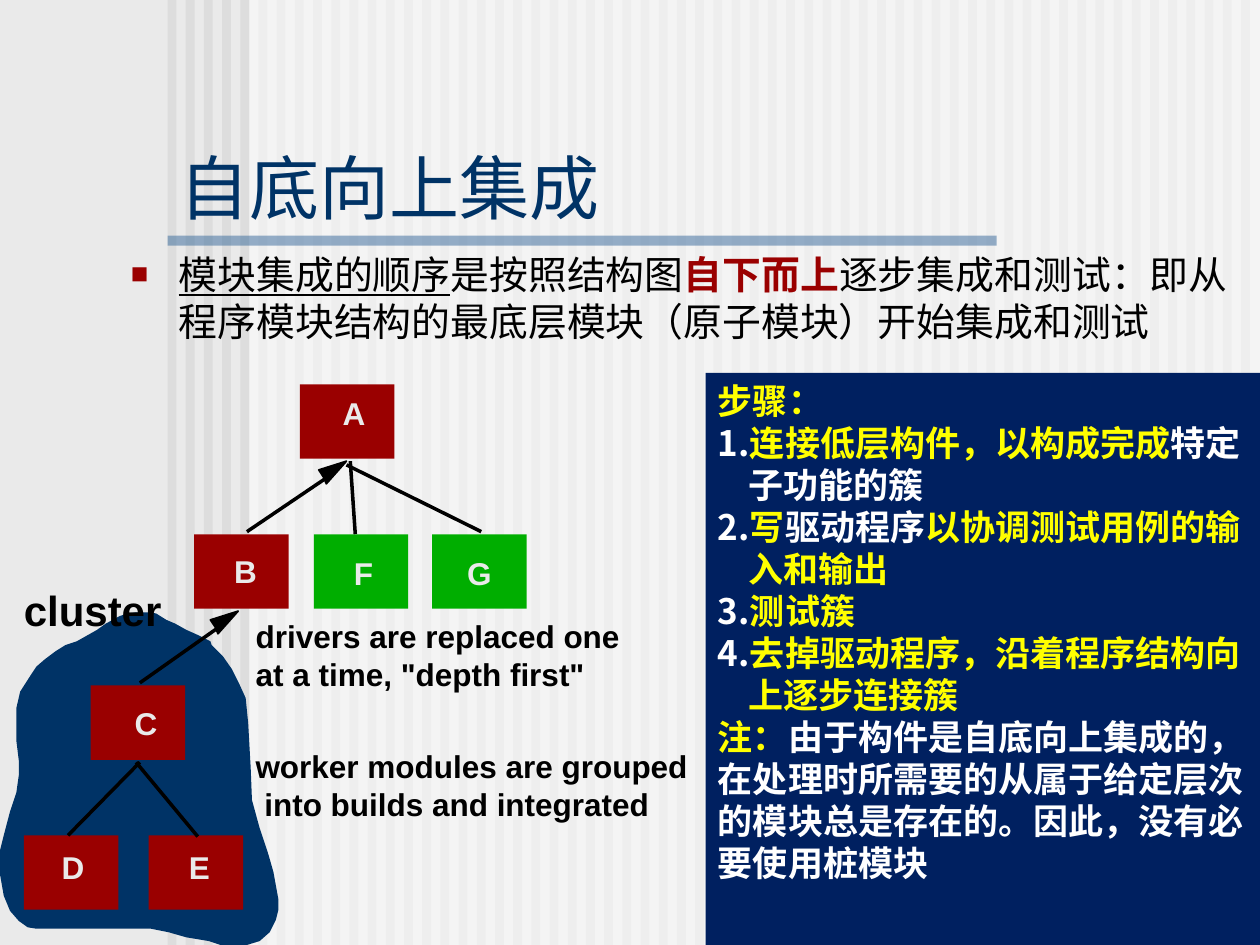
import pptx
import pptx.dml.color
import pptx.enum.shapes
import pptx.enum.text
import pptx.oxml
import pptx.oxml.ns
import pptx.util
from lxml import etree
from pptx.util import Inches

COLORS = {
    "background": "EAEAEA", "stripe": "DDDDDD", "white": "FFFFFF",
    "rule": "336699", "navy": "003366", "panel": "002060",
    "red": "9A0000", "green": "00AE00", "black": "000000", "yellow": "FFFF00",
}
FONT = "Arial"
MODULE_SIZE = (0.75, 0.59)
# name: (module left, module top, fill, label left, label top)
MODULES = {
    "A": (2.38, 3.05, "red", 2.62, 3.08),
    "B": (1.54, 4.24, "red", 1.76, 4.33),
    "C": (0.72, 5.44, "red", 0.97, 5.54),
    "D": (0.19, 6.63, "red", 0.39, 6.68),
    "E": (1.18, 6.63, "red", 1.4, 6.68),
    "F": (2.49, 4.24, "green", 2.71, 4.35),
    "G": (3.43, 4.24, "green", 3.61, 4.35),
}
LINKS = [
    ((2.58, 3.8), (1.96, 4.22)), ((1.72, 4.99), (1.11, 5.42)),
    ((1.11, 6.05), (0.54, 6.63)), ((1.08, 6.05), (1.57, 6.64)),
    ((2.78, 3.66), (2.82, 4.24)), ((2.75, 3.69), (3.82, 4.22)),
]
ARROW_TIPS = [(2.75, 3.66), (1.89, 4.85)]
ARROWHEAD = [(0, 0), (-0.16, 0.18), (-0.18, 0.13), (-0.22, 0.07)]
CLUSTER = [
    (1.67, 5.09), (1.57, 5.04), (1.48, 5), (1.39, 4.95), (1.32, 4.92),
    (1.24, 4.87), (1.19, 4.86), (1.08, 4.86), (1.01, 4.87), (0.95, 4.89),
    (0.84, 4.95), (0.77, 5), (0.61, 5.09), (0.52, 5.12), (0.44, 5.17),
    (0.36, 5.23), (0.29, 5.29), (0.25, 5.35), (0.16, 5.49), (0.13, 5.62),
    (0.13, 5.88), (0.15, 6.04), (0.15, 6.15), (0.13, 6.29), (0.08, 6.44),
    (0.03, 6.63), (0, 6.75), (0, 6.94), (0.03, 7.11), (0.08, 7.23),
    (0.15, 7.31), (0.22, 7.36), (0.28, 7.37), (1.19, 7.37), (1.34, 7.4),
    (1.48, 7.44), (1.66, 7.47), (1.75, 7.5), (1.96, 7.5), (2.06, 7.47),
    (2.14, 7.4), (2.19, 7.3), (2.21, 7.22), (2.21, 7.14), (2.17, 6.92),
    (2.13, 6.78), (2.06, 6.57), (2, 6.35), (1.99, 6.1), (1.97, 5.74),
    (1.95, 5.54), (1.9, 5.43), (1.84, 5.31), (1.77, 5.21), (1.68, 5.12),
]
STEPS = [
    [("连接低层构件，以构成完成", "yellow"), ("特定子功能的簇", "white")],
    [("写", "yellow"), ("驱动程序", "white"), ("以协调测试用例的输入和输出", "yellow")],
    [("测试簇", "yellow")],
    [("去掉驱动程序，沿着程序结构向上逐步连接簇", "yellow")],
]


def rgb(name):
    return pptx.dml.color.RGBColor.from_string(COLORS[name])


def paint(shape, color, alpha=None):
    """Fill a shape without outline or shadow; alpha is opacity in percent."""
    shape.shadow.inherit = False
    shape.fill.solid()
    shape.fill.fore_color.rgb = rgb(color)
    shape.line.fill.background()
    if alpha:
        node = shape.fill._xPr.find(".//" + pptx.oxml.ns.qn("a:srgbClr"))
        etree.SubElement(node, pptx.oxml.ns.qn("a:alpha"), val=str(alpha * 1000))


def add_rectangle(page, left, top, width, height, color, alpha=None):
    shape = page.shapes.add_shape(
        pptx.enum.shapes.MSO_SHAPE.RECTANGLE,
        Inches(left), Inches(top), Inches(width), Inches(height))
    paint(shape, color, alpha)
    return shape


def add_outline(page, points, color):
    corners = [(Inches(x), Inches(y)) for x, y in points]
    builder = page.shapes.build_freeform(*corners[0])
    builder.add_line_segments(corners[1:], close=True)
    shape = builder.convert_to_shape()
    paint(shape, color)
    return shape


def add_link(page, start, end):
    link = page.shapes.add_connector(
        pptx.enum.shapes.MSO_CONNECTOR.STRAIGHT,
        *(Inches(value) for value in start + end))
    link.line.color.rgb = rgb("black")
    link.line.width = pptx.util.Pt(2)
    etree.SubElement(link._element.spPr, pptx.oxml.ns.qn("a:effectLst"))


def write_spans(para, spans, size, bold=False):
    """Write (text, color) pairs as the runs of a paragraph."""
    para.alignment = pptx.enum.text.PP_ALIGN.LEFT
    for text, color in spans:
        span = para.add_run()
        span.text = text
        span.font.name = FONT
        span.font.size = pptx.util.Pt(size)
        span.font.bold = bold
        span.font.color.rgb = rgb(color)


def hang(para, indent):
    properties = para._p.get_or_add_pPr()
    properties.set("marL", str(Inches(indent)))
    properties.set("indent", str(-Inches(indent)))


def add_bullet(para, color, tag, **attributes):
    """Add a bullet element, with its size taken from the attribute size."""
    size = attributes.pop("size", 100)
    properties = para._p.get_or_add_pPr()
    bullet_color = etree.SubElement(properties, pptx.oxml.ns.qn("a:buClr"))
    etree.SubElement(bullet_color, pptx.oxml.ns.qn("a:srgbClr"), val=COLORS[color])
    etree.SubElement(properties, pptx.oxml.ns.qn("a:buSzPct"), val=str(size * 1000))
    etree.SubElement(properties, pptx.oxml.ns.qn("a:buFont"), typeface=FONT)
    etree.SubElement(properties, pptx.oxml.ns.qn(tag), **attributes)


def add_text(page, left, top, width, height, spans, size, bold=False, wrap=True):
    box = page.shapes.add_textbox(
        Inches(left), Inches(top), Inches(width), Inches(height))
    box.text_frame.word_wrap = wrap
    write_spans(box.text_frame.paragraphs[0], spans, size, bold)
    return box


def add_backdrop(page):
    page.background.fill.solid()
    page.background.fill.fore_color.rgb = rgb("background")
    for index in range(60):
        add_rectangle(page, 1.33 + index * 0.1444, 0, 0.07, 7.5, "stripe")
    add_rectangle(page, 1.98, 0, 8.02, 7.5, "white", 50)
    add_rectangle(page, 1.33, 1.87, 6.58, 0.08, "rule", 50)


def add_heading(page):
    box = add_text(page, 0.94, 1.94, 9.06, 1.24, [
        ("模块集成的顺序", "black"), ("是按照结构图", "black"), ("自下而上", "red"),
        ("逐步集成和测试：即从程序模块结构的最底层模块（原子模块）开始集成和测试", "black"),
    ], 22.2)
    para = box.text_frame.paragraphs[0]
    hang(para, 0.38)
    add_bullet(para, "red", "a:buChar", char="■", size=75)
    para.runs[0].font.underline = True
    para.runs[2].font.bold = True
    title = add_text(page, 1.33, 1.17, 8.67, 0.69, [("自底向上集成", "navy")], 40)
    title.text_frame.vertical_anchor = pptx.enum.text.MSO_ANCHOR.BOTTOM


def add_module_tree(page):
    add_outline(page, CLUSTER, "navy")
    for left, top, color, _, _ in MODULES.values():
        add_rectangle(page, left, top, *MODULE_SIZE, color)
    for tip_x, tip_y in ARROW_TIPS:
        head = add_outline(page, [(tip_x + x, tip_y + y) for x, y in ARROWHEAD], "black")
        head.line.color.rgb = rgb("black")
        head.line.width = pptx.util.Pt(1)
    for start, end in LINKS:
        add_link(page, start, end)
    add_text(page, 1.93, 4.85, 3.25, 0.7,
             [('drivers are replaced one at a time, "depth first"', "black")], 18, True)
    note = add_text(page, 1.93, 5.88, 3.64, 0.7,
                    [("worker modules are grouped into builds and integrated", "black")], 18, True)
    hang(note.text_frame.paragraphs[0], 0.07)
    for name, (_, _, _, left, top) in MODULES.items():
        add_text(page, left, top, 0.38, 0.4, [(name, "background")], 18, True, wrap=False)
    add_text(page, 0.09, 4.59, 1.29, 0.5, [("cluster", "black")], 24, True, wrap=False)


def add_steps_panel(page):
    frame = add_rectangle(page, 5.6, 2.96, 4.4, 4.54, "panel").text_frame
    frame.word_wrap = True
    frame.vertical_anchor = pptx.enum.text.MSO_ANCHOR.TOP
    write_spans(frame.paragraphs[0], [("步骤：", "yellow")], 20, True)
    for spans in STEPS:
        para = frame.add_paragraph()
        hang(para, 0.24)
        add_bullet(para, "white", "a:buAutoNum", type="arabicPeriod")
        write_spans(para, spans, 20, True)
    write_spans(frame.add_paragraph(), [
        ("注：", "yellow"),
        ("由于构件是自底向上集成的，在处理时所需要的从属于给定层次的模块总是存在的。"
         "因此，没有必要使用桩模块", "white"),
    ], 20, True)


def main():
    deck = pptx.Presentation()
    deck.slide_width, deck.slide_height = Inches(10), Inches(7.5)
    page = deck.slides.add_slide(deck.slide_layouts[6])
    add_backdrop(page)
    add_heading(page)
    add_module_tree(page)
    add_steps_panel(page)
    deck.save("out.pptx")


if __name__ == "__main__":
    main()
